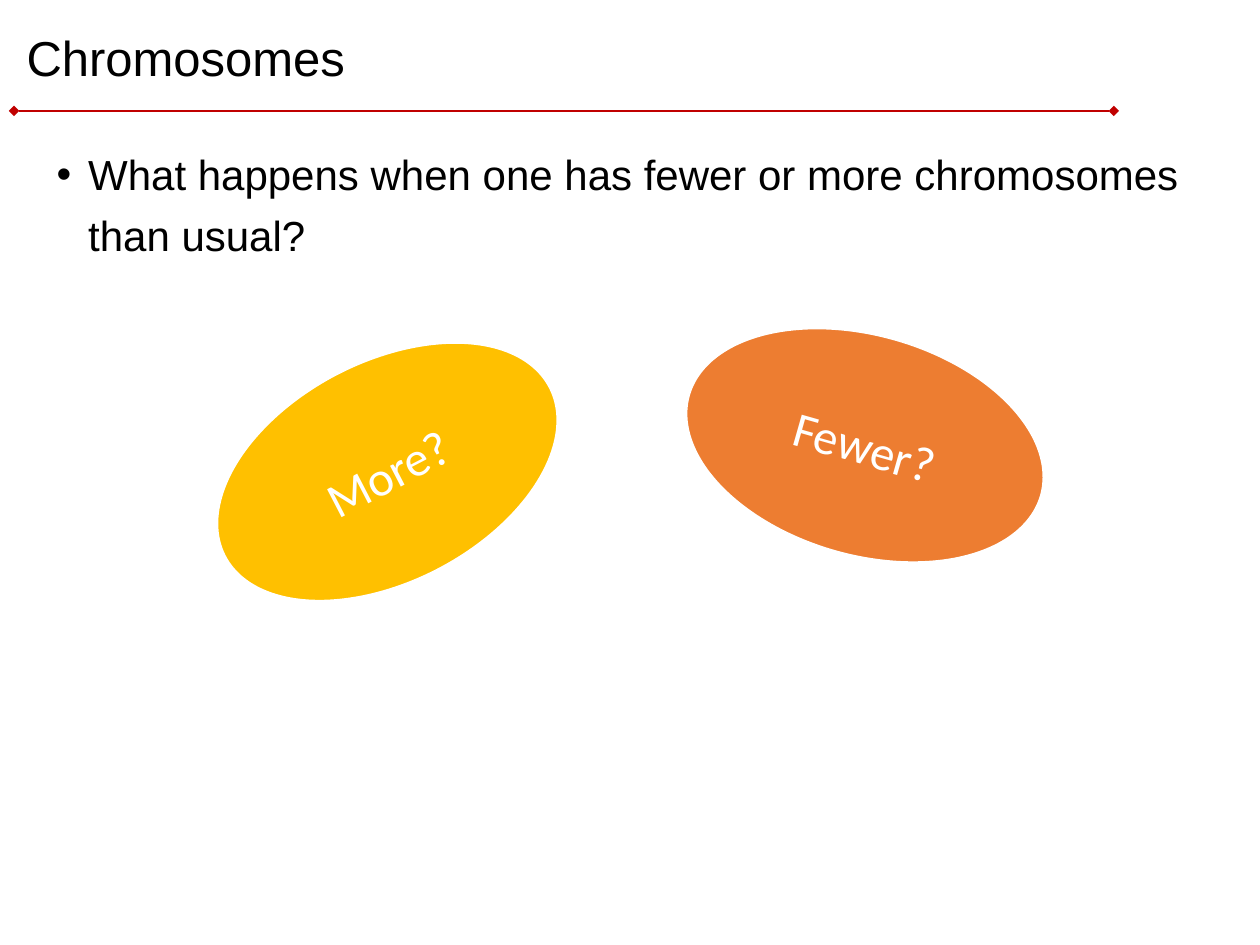
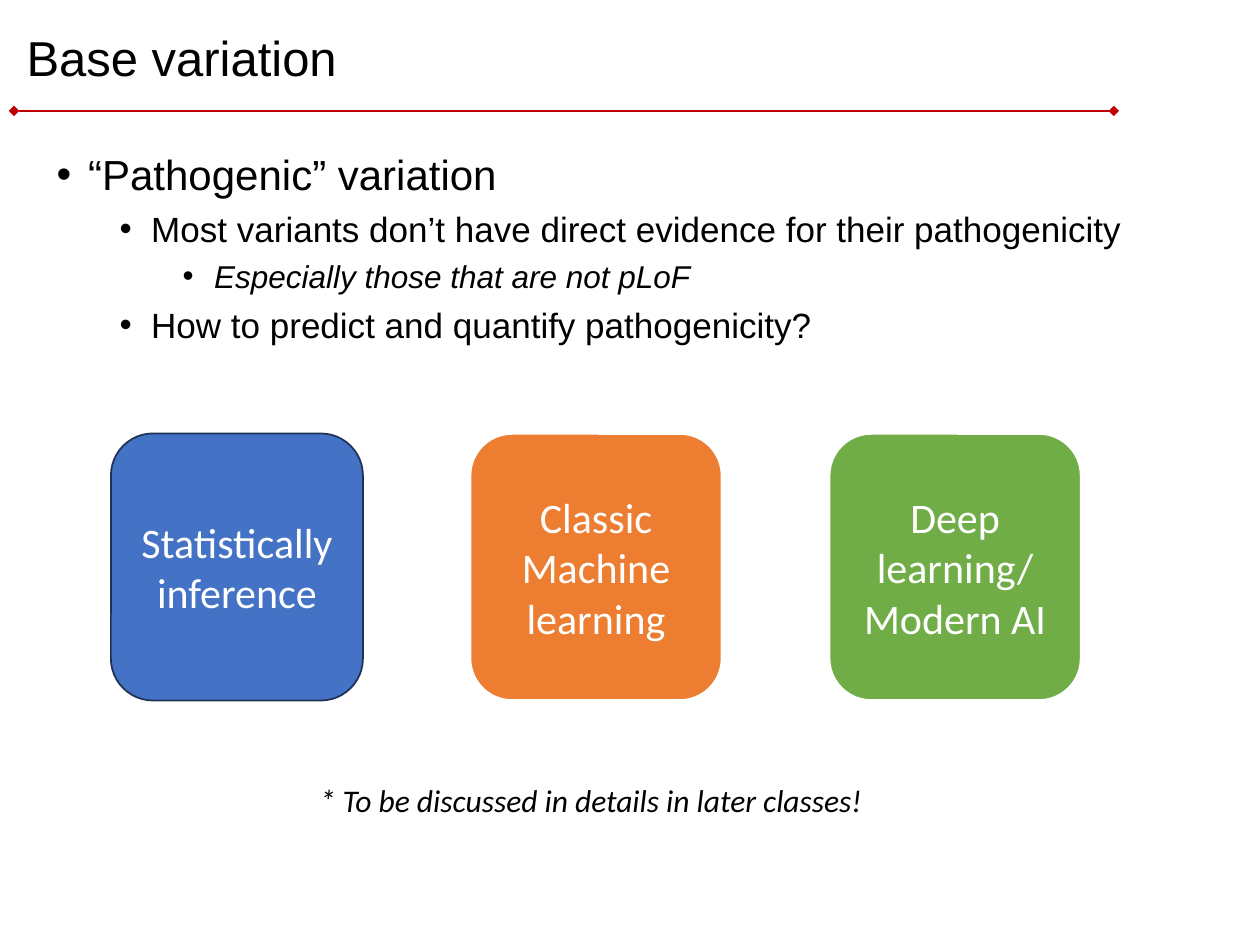
from lxml import etree
from pptx import Presentation
from pptx.dml.color import RGBColor
from pptx.enum import shapes, text
from pptx.oxml import ns
from pptx.util import Pt

BLACK = RGBColor(0x00, 0x00, 0x00)
WHITE = RGBColor(0xFF, 0xFF, 0xFF)
RED = RGBColor(0xC0, 0x00, 0x00)
GOLD = RGBColor(0xFF, 0xC0, 0x00)
ORANGE = RGBColor(0xED, 0x7D, 0x31)
BLUE = RGBColor(0x44, 0x72, 0xC4)
NAVY = RGBColor(0x1E, 0x32, 0x56)
GREEN = RGBColor(0x70, 0xAD, 0x47)

HEADING_FONT = "Arial"
LABEL_FONT = "Calibri"
LEVEL_SIZES = (24, 20, 18)
LEVEL_INDENT = 36
BULLET_HANG = 18


def place(shape, left, top, width, height):
    shape.left, shape.top = Pt(left), Pt(top)
    shape.width, shape.height = Pt(width), Pt(height)


def format_runs(paragraph, font_name, size, color, italic=False):
    for run in paragraph.runs:
        run.font.name = font_name
        run.font.size = Pt(size)
        run.font.color.rgb = color
        run.font.italic = italic


def add_title_rule(slide):
    """Draw the red line with diamond ends under the title."""
    rule = slide.shapes.add_connector(
        shapes.MSO_CONNECTOR.STRAIGHT, Pt(8), Pt(63.4), Pt(636.5), Pt(63.4))
    rule.line.color.rgb = RED
    rule.line.width = Pt(1)
    line = rule.line._get_or_add_ln()
    for end in ("a:headEnd", "a:tailEnd"):
        etree.SubElement(line, ns.qn(end), type="diamond")
    etree.SubElement(rule.element.spPr, ns.qn("a:effectLst"))


def set_title(slide, wording):
    title = slide.shapes.title
    place(title, 8, 4.3, 653, 60.5)
    frame = title.text_frame
    frame.text = wording
    frame.auto_size = text.MSO_AUTO_SIZE.NONE
    frame.vertical_anchor = text.MSO_ANCHOR.MIDDLE
    paragraph = frame.paragraphs[0]
    paragraph.alignment = text.PP_ALIGN.LEFT
    paragraph.line_spacing = 0.9
    format_runs(paragraph, HEADING_FONT, 28, BLACK)


def add_bullet(paragraph, level):
    properties = paragraph._p.get_or_add_pPr()
    properties.set("marL", str(Pt(BULLET_HANG + LEVEL_INDENT * level)))
    properties.set("indent", str(Pt(-BULLET_HANG)))
    etree.SubElement(properties, ns.qn("a:buFont"), typeface=HEADING_FONT)
    etree.SubElement(properties, ns.qn("a:buChar"), char="•")


def set_bullets(slide, items):
    """Fill the body with (level, wording) items; the third level is italic."""
    body = slide.placeholders[1]
    place(body, 25.2, 75.6, 663, 411)
    frame = body.text_frame
    frame.text = "\n".join(wording for _, wording in items)
    frame.auto_size = text.MSO_AUTO_SIZE.NONE
    for paragraph, (level, _) in zip(frame.paragraphs, items):
        add_bullet(paragraph, level)
        paragraph.level = level
        paragraph.line_spacing = 1.2
        paragraph.space_before = Pt(0)
        format_runs(paragraph, HEADING_FONT, LEVEL_SIZES[level], BLACK, level == 2)


def add_content_slide(presentation, title, items):
    slide = presentation.slides.add_slide(presentation.slide_layouts[1])
    add_title_rule(slide)
    set_title(slide, title)
    set_bullets(slide, items)
    return slide


def add_label_shape(slide, kind, box, wording, size, fill, outline=WHITE,
                    outline_width=1.5, rotation=0):
    shape = slide.shapes.add_shape(kind, *map(Pt, box))
    shape.rotation = rotation
    shape.shadow.inherit = False
    shape.fill.solid()
    shape.fill.fore_color.rgb = fill
    shape.line.color.rgb = outline
    shape.line.width = Pt(outline_width)
    frame = shape.text_frame
    frame.text = wording
    frame.word_wrap = True
    frame.vertical_anchor = text.MSO_ANCHOR.MIDDLE
    for paragraph in frame.paragraphs:
        paragraph.alignment = text.PP_ALIGN.CENTER
        format_runs(paragraph, LABEL_FONT, size, WHITE)


def add_footnote(slide, wording):
    footnote = slide.shapes.add_textbox(Pt(175.7), Pt(442.8), Pt(330.5), Pt(29))
    frame = footnote.text_frame
    frame.text = wording
    frame.word_wrap = False
    frame.auto_size = text.MSO_AUTO_SIZE.SHAPE_TO_FIT_TEXT
    format_runs(frame.paragraphs[0], LABEL_FONT, 18, BLACK, italic=True)


def build_chromosomes(presentation):
    slide = add_content_slide(presentation, "Chromosomes", [
        (0, "What happens when one has fewer or more chromosomes than usual?")])
    for wording, left, top, fill, rotation in (
            ("More?", 116.6, 206.6, GOLD, 332.5),
            ("Fewer?", 389.5, 191.5, ORANGE, 15.9)):
        add_label_shape(slide, shapes.MSO_SHAPE.OVAL, (left, top, 209.5, 126),
                        wording, 28, fill, rotation=rotation)


def build_base_variation(presentation):
    slide = add_content_slide(presentation, "Base variation", [
        (0, "“Pathogenic” variation"),
        (1, "Most variants don’t have direct evidence for their pathogenicity"),
        (2, "Especially those that are not pLoF"),
        (1, "How to predict and quantify pathogenicity?")])
    methods = (
        ("Statistically inference", BLUE, NAVY, 1),
        ("Classic\nMachine learning", ORANGE, WHITE, 1.5),
        ("Deep learning/\nModern AI", GREEN, WHITE, 1.5))
    for index, (wording, fill, outline, outline_width) in enumerate(methods):
        box = (63.4 + 205.2 * index, 247.7, 144, 152.6)
        add_label_shape(slide, shapes.MSO_SHAPE.ROUNDED_RECTANGLE, box,
                        wording, 24, fill, outline, outline_width)
    add_footnote(slide, "* To be discussed in details in later classes!")


def main():
    presentation = Presentation()
    presentation.slide_width = Pt(720)
    presentation.slide_height = Pt(540)
    build_chromosomes(presentation)
    build_base_variation(presentation)
    presentation.save("out.pptx")


if __name__ == "__main__":
    main()
